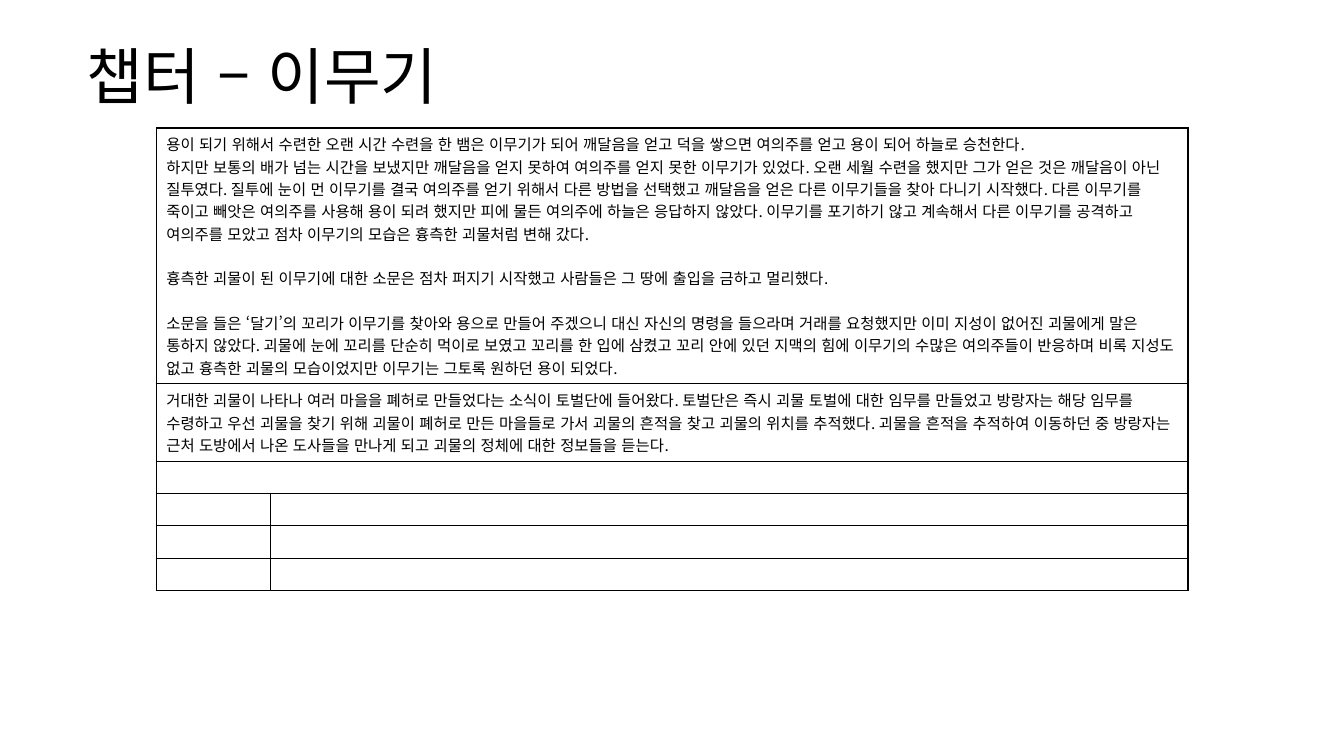
import lxml.etree
import pptx
import pptx.dml.color
import pptx.enum.text
import pptx.oxml.ns
import pptx.util

Pt = pptx.util.Pt
qn = pptx.oxml.ns.qn

LEGEND = [
    "용이 되기 위해서 수련한 오랜 시간 수련을 한 뱀은 이무기가 되어 깨달음을 얻고 덕을 쌓으면 여의주를 얻고 용이 되어 하늘로 승천한다.",
    "하지만 보통의 배가 넘는 시간을 보냈지만 깨달음을 얻지 못하여 여의주를 얻지 못한 이무기가 있었다. "
    "오랜 세월 수련을 했지만 그가 얻은 것은 깨달음이 아닌 질투였다. "
    "질투에 눈이 먼 이무기를 결국 여의주를 얻기 위해서 다른 방법을 선택했고 깨달음을 얻은 다른 이무기들을 찾아 다니기 시작했다. "
    "다른 이무기를 죽이고 빼앗은 여의주를 사용해 용이 되려 했지만 피에 물든 여의주에 하늘은 응답하지 않았다. "
    "이무기를 포기하기 않고 계속해서 다른 이무기를 공격하고 여의주를 모았고 점차 이무기의 모습은 흉측한 괴물처럼 변해 갔다.",
    "흉측한 괴물이 된 이무기에 대한 소문은 점차 퍼지기 시작했고 사람들은 그 땅에 출입을 금하고 멀리했다.",
    "소문을 들은 ‘달기’의 꼬리가 이무기를 찾아와 용으로 만들어 주겠으니 대신 자신의 명령을 들으라며 거래를 요청했지만 "
    "이미 지성이 없어진 괴물에게 말은 통하지 않았다. "
    "괴물에 눈에 꼬리를 단순히 먹이로 보였고 꼬리를 한 입에 삼켰고 꼬리 안에 있던 지맥의 힘에 이무기의 수많은 여의주들이 반응하며 "
    "비록 지성도 없고 흉측한 괴물의 모습이었지만 이무기는 그토록 원하던 용이 되었다.",
]
MISSION = (
    "거대한 괴물이 나타나 여러 마을을 폐허로 만들었다는 소식이 토벌단에 들어왔다. "
    "토벌단은 즉시 괴물 토벌에 대한 임무를 만들었고 방랑자는 해당 임무를 수령하고 "
    "우선 괴물을 찾기 위해 괴물이 폐허로 만든 마을들로 가서 괴물의 흔적을 찾고 괴물의 위치를 추적했다. "
    "괴물을 흔적을 추적하여 이동하던 중 방랑자는 근처 도방에서 나온 도사들을 만나게 되고 괴물의 정체에 대한 정보들을 듣는다."
)


def colour(value):
    return pptx.dml.color.RGBColor.from_string(value)


class ChapterSlide:
    font = "Noto Sans CJK KR"
    ink = "000000"
    body_size = 11
    section_gap = 15.9

    def __init__(self, deck):
        self.slide = deck.slides.add_slide(deck.slide_layouts[5])

    def format_runs(self, paragraph, size):
        for run in paragraph.runs:
            run.font.size = Pt(size)
            run.font.name = self.font
            run.font.color.rgb = colour(self.ink)
            properties = run._r.get_or_add_rPr()
            properties.set("lang", "ko-KR")
            east_asian = lxml.etree.Element(qn("a:ea"), typeface=self.font)
            properties.find(qn("a:latin")).addnext(east_asian)

    def title(self, text, left, top, width, height):
        heading = self.slide.shapes.title
        heading.left, heading.top = Pt(left), Pt(top)
        heading.width, heading.height = Pt(width), Pt(height)
        frame = heading.text_frame
        frame.text = text
        frame.word_wrap = True
        frame.auto_size = pptx.enum.text.MSO_AUTO_SIZE.NONE
        frame.vertical_anchor = pptx.enum.text.MSO_ANCHOR.MIDDLE
        line = frame.paragraphs[0]
        line.alignment = pptx.enum.text.PP_ALIGN.LEFT
        line.line_spacing = 0.9
        self.format_runs(line, 44)

    def table(self, left, top, widths, heights):
        shape = self.slide.shapes.add_table(
            len(heights), len(widths), Pt(left), Pt(top), Pt(sum(widths)), Pt(sum(heights)))
        grid = shape.table
        grid.first_row = grid.horz_banding = False
        for column, width in zip(grid.columns, widths):
            column.width = Pt(width)
        for row, height in zip(grid.rows, heights):
            row.height = Pt(height)
            for cell in row.cells:
                self.rule_cell(cell)
        return grid

    def rule_cell(self, cell):
        properties = cell._tc.get_or_add_tcPr()
        for side in ("a:lnL", "a:lnR", "a:lnT", "a:lnB"):
            border = lxml.etree.SubElement(properties, qn(side), w=str(Pt(1)))
            fill = lxml.etree.SubElement(border, qn("a:solidFill"))
            lxml.etree.SubElement(fill, qn("a:srgbClr"), val=self.ink)
        cell.fill.background()
        empty_line = cell.text_frame.paragraphs[0]._p
        lxml.etree.SubElement(empty_line, qn("a:endParaRPr"), lang="ko-KR", sz=str(self.body_size * 100))

    def story(self, cell, passages, section_starts=()):
        cell.text_frame.text = "\n".join(passages)
        for index, passage in enumerate(cell.text_frame.paragraphs):
            if index in section_starts:
                passage.space_before = Pt(self.section_gap)
            self.format_runs(passage, self.body_size)


def main():
    deck = pptx.Presentation()
    deck.slide_width, deck.slide_height = Pt(960), Pt(540)
    chapter = ChapterSlide(deck)
    chapter.title("챕터 – 이무기", 54.7, 23, 850.3, 67.7)
    plot = chapter.table(111.6, 91.4, [81.8, 655.2], [182.4, 55.4] + [23.1] * 4)
    for row in range(3):
        plot.cell(row, 0).merge(plot.cell(row, 1))
    chapter.story(plot.cell(0, 0), LEGEND, section_starts=(2, 3))
    chapter.story(plot.cell(1, 0), [MISSION])
    deck.save("out.pptx")


if __name__ == "__main__":
    main()
